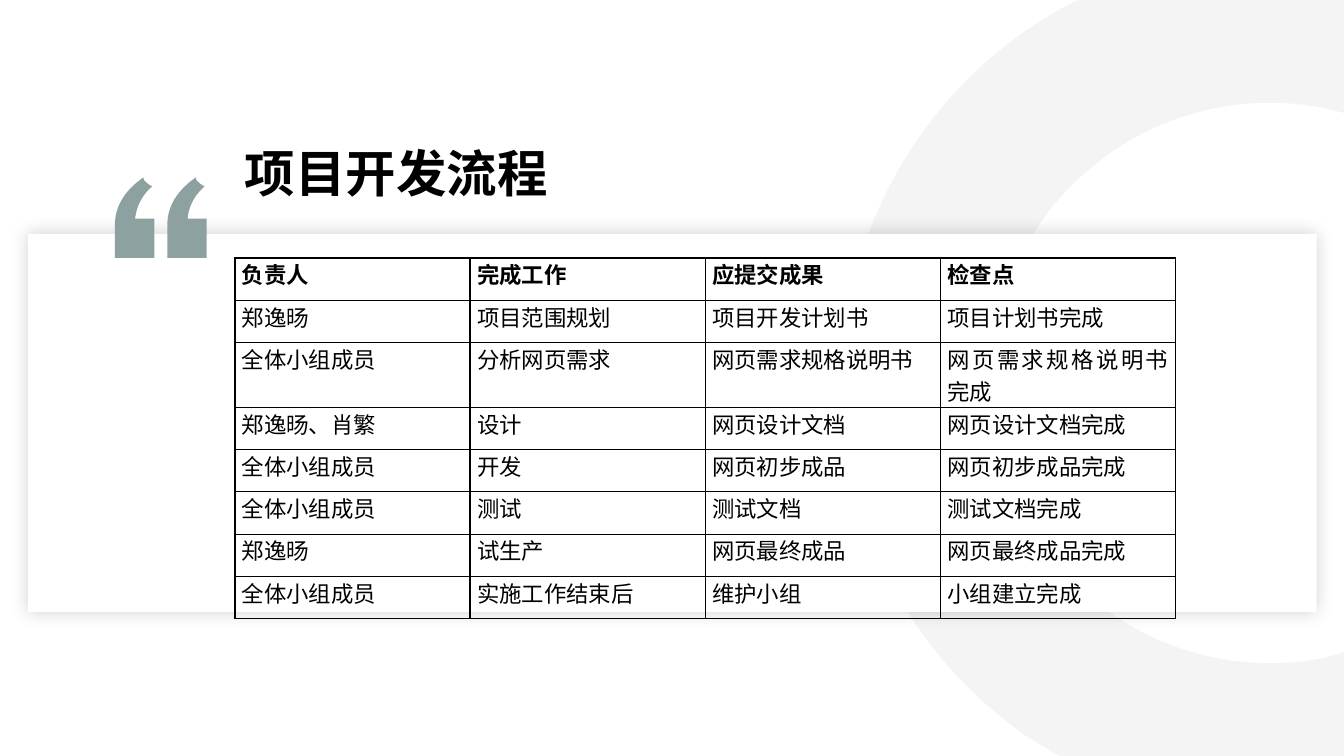
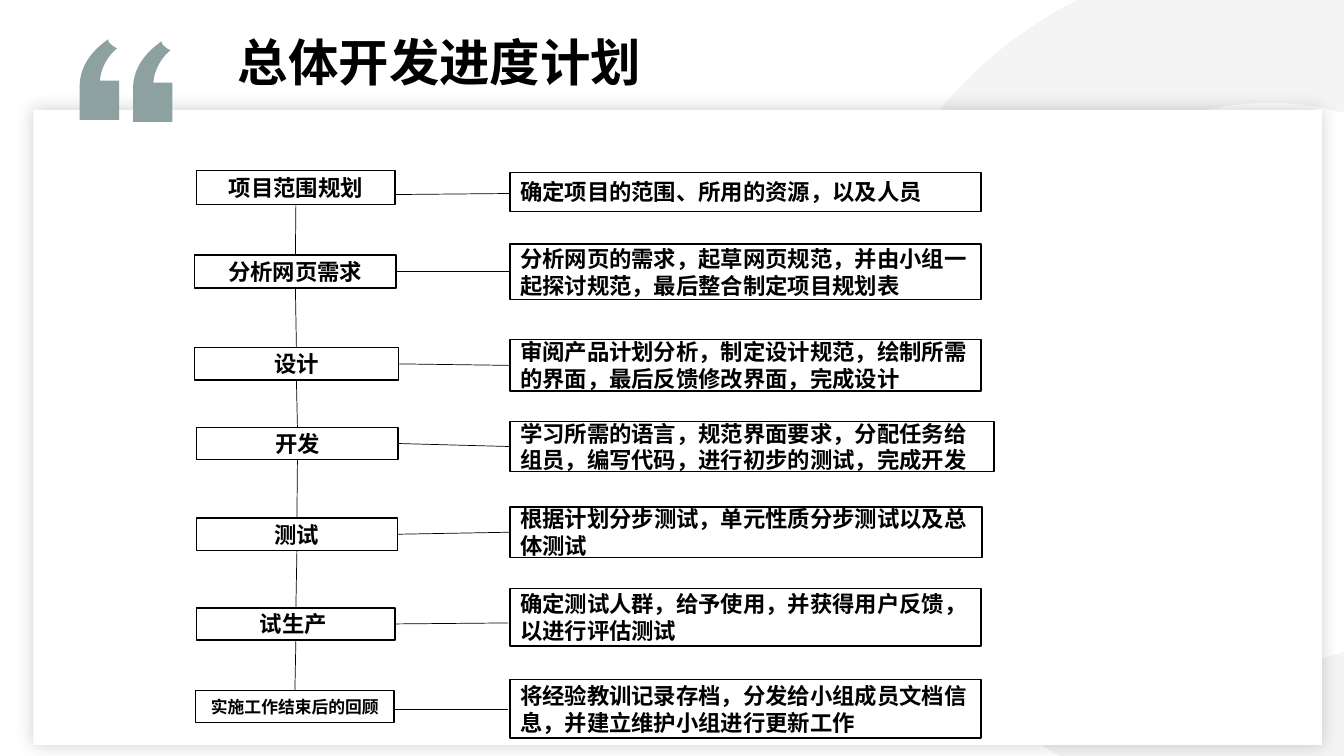
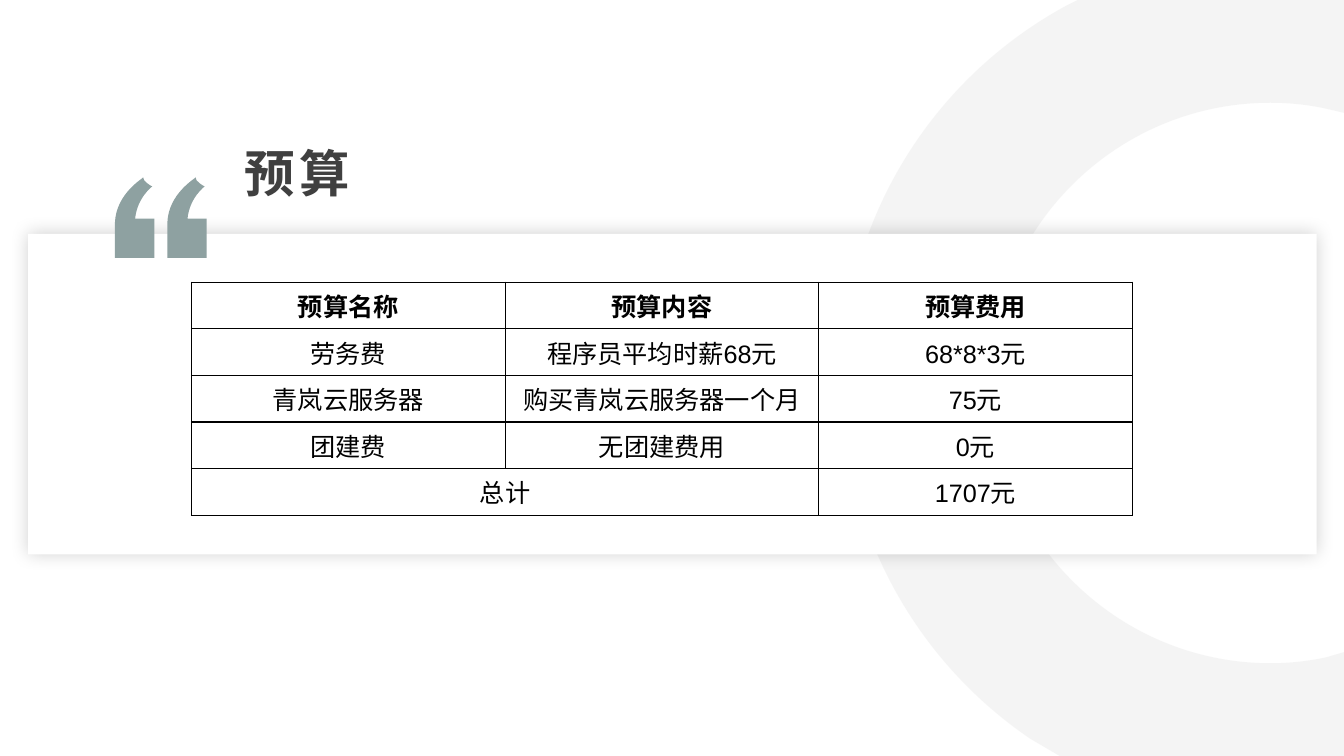
"""Build three project-plan slides: workflow table, schedule flowchart and budget table."""
from dataclasses import dataclass

from lxml.etree import SubElement
from pptx import Presentation
from pptx.dml.color import RGBColor
from pptx.enum.shapes import MSO_CONNECTOR as Link, MSO_SHAPE as Preset
from pptx.enum.text import MSO_ANCHOR as Anchor, MSO_AUTO_SIZE as Fit, PP_ALIGN as Align
from pptx.oxml.ns import qn
from pptx.util import Inches, Pt


@dataclass(frozen=True)
class Theme:
    """Colours, fonts and type sizes shared by the slides."""
    ink: str = "000000"
    soft_ink: str = "404040"
    paper: str = "FFFFFF"
    ring: str = "F2F2F2"
    accent: str = "8EA1A1"
    font: str = "Arial"
    flow_font: str = "Calibri"
    title_size: int = 36
    budget_size: int = 18
    body_size: int = 16
    small_size: int = 12
    border: float = 1
    link: float = 0.5


THEME = Theme()
SLIDE_W, SLIDE_H = 13.33, 7.5
CARD_W, GRID_W = 12.78, 9.33

WORKFLOW = [
    ("负责人", "完成工作", "应提交成果", "检查点"),
    ("郑逸旸", "项目范围规划", "项目开发计划书", "项目计划书完成"),
    ("全体小组成员", "分析网页需求", "网页需求规格说明书", "网页需求规格说明书完成"),
    ("郑逸旸、肖繁", "设计", "网页设计文档", "网页设计文档完成"),
    ("全体小组成员", "开发", "网页初步成品", "网页初步成品完成"),
    ("全体小组成员", "测试", "测试文档", "测试文档完成"),
    ("郑逸旸", "试生产", "网页最终成品", "网页最终成品完成"),
    ("全体小组成员", "实施工作结束后", "维护小组", "小组建立完成"),
]
WORKFLOW_HEIGHTS = [0.42] * 2 + [0.64] + [0.42] * 5

BUDGET = [
    ("预算名称", "预算内容", "预算费用"),
    ("劳务费", "程序员平均时薪68元", "68*8*3元"),
    ("青岚云服务器", "购买青岚云服务器一个月", "75元"),
    ("团建费", "无团建费用", "0元"),
    ("总计", "", "1707元"),
]
BUDGET_HEIGHTS = [0.46] * len(BUDGET)

# each stage: step and its left, top, width, height; detail and its top, width, height
STAGES = [
    ("项目范围规划", (1.95, 1.69, 1.97, 0.34),
     "确定项目的范围、所用的资源，以及人员", (1.71, 4.67, 0.39)),
    ("分析网页需求", (1.93, 2.53, 2, 0.33),
     "分析网页的需求，起草网页规范，并由小组一起探讨规范，最后整合制定项目规划表", (2.42, 4.67, 0.55)),
    ("设计", (1.93, 3.45, 2.02, 0.32),
     "审阅产品计划分析，制定设计规范，绘制所需的界面，最后反馈修改界面，完成设计", (3.37, 4.67, 0.51)),
    ("开发", (1.95, 4.24, 2, 0.32),
     "学习所需的语言，规范界面要求，分配任务给组员，编写代码，进行初步的测试，完成开发", (4.18, 4.8, 0.5)),
    ("测试", (1.95, 5.14, 1.99, 0.32),
     "根据计划分步测试，单元性质分步测试以及总体测试", (5.03, 4.68, 0.5)),
    ("试生产 ", (1.95, 6.03, 1.97, 0.32),
     "确定测试人群，给予使用，并获得用户反馈，以进行评估测试", (5.84, 4.67, 0.57)),
    ("实施工作结束后的回顾", (1.94, 6.85, 1.97, 0.32),
     "将经验教训记录存档，分发给小组成员文档信息，并建立维护小组进行更新工作", (6.74, 4.67, 0.58)),
]
DETAIL_LEFT = 5.06
LONG_LABEL = 8
# links that miss the middle of a side, by stage: start and end
LOOSE_LINKS = {
    0: ((3.93, 1.93), (5.05, 1.92)),
    5: ((3.92, 6.19), (5.04, 6.18)),
    6: ((3.92, 7.04), (5.04, 7.04)),
}

# a two-number entry is a corner, a six-number entry a cubic curve
QUOTE = [
    (0.39, 0.8), (0, 0.8), (0, 0.45), (0.01, 0.16, 0.28, 0.01, 0.28, 0),
    (0.29, 0.03), (0.31, 0.05, 0.33, 0.07, 0.35, 0.08), (0.37, 0.09),
    (0.37, 0.09, 0.22, 0.2, 0.2, 0.41), (0.39, 0.41),
]
RING = [
    (10.69, 0), (13.33, 0), (13.33, 1.12), (13.16, 1.08),
    (12.98, 1.04, 12.79, 1.02, 12.6, 1.02), (11.07, 1.02, 9.82, 2.26, 9.82, 3.8),
    (9.82, 5.33, 11.07, 6.58, 12.6, 6.58), (12.79, 6.58, 12.98, 6.56, 13.16, 6.52),
    (13.33, 6.47), (13.33, 7.5), (10.51, 7.5), (10.22, 7.33),
    (9.09, 6.56, 8.35, 5.27, 8.35, 3.8), (8.35, 2.18, 9.25, 0.78, 10.57, 0.06),
]


def rgb(color):
    """Turn a hex string into a colour."""
    return RGBColor.from_string(color)


def box(*lengths):
    """Convert inches to slide lengths."""
    return [Inches(length) for length in lengths]


def style(paragraph, size, bold, font=THEME.font, color=THEME.ink, align=None):
    """Format a paragraph's runs."""
    paragraph.alignment = align
    for run in paragraph.runs:
        run.font.name, run.font.size, run.font.bold = font, Pt(size), bold
        run.font.color.rgb = rgb(color)


def add_outline(slide, segments, color, left=0, top=0):
    """Draw a filled outline of straight and curved segments."""
    placed = [[Inches(value + (top if i % 2 else left)) for i, value in enumerate(segment)]
              for segment in segments]
    knots = [segment[-2:] for segment in placed]
    builder = slide.shapes.build_freeform(*knots[0], scale=1.0)
    builder.add_line_segments(knots[1:], close=True)
    outline = builder.convert_to_shape()
    min_x, min_y = (min(axis) for axis in zip(*knots))
    for line, segment in zip(list(outline._element.iter(qn("a:lnTo"))), placed[1:]):
        if len(segment) == 6:
            curve = line.makeelement(qn("a:cubicBezTo"), {})
            for x, y in zip(segment[::2], segment[1::2]):
                SubElement(curve, qn("a:pt"), x=str(x - min_x), y=str(y - min_y))
            line.getparent().replace(line, curve)
    outline.shadow.inherit = False
    outline.fill.solid()
    outline.fill.fore_color.rgb = rgb(color)
    outline.line.fill.background()
    return outline


def add_ring(slide):
    """Draw the pale ring cut off by the slide's edges."""
    ring = add_outline(slide, RING, THEME.ring)
    tint = ring.fill._xPr.find(qn("a:solidFill"))[0]
    SubElement(tint, qn("a:alpha"), val="80000")


def add_rect(slide, left, top, width, height):
    """Draw a white rectangle."""
    rect = slide.shapes.add_shape(Preset.RECTANGLE, *box(left, top, width, height))
    rect.shadow.inherit = False
    rect.fill.solid()
    rect.fill.fore_color.rgb = rgb(THEME.paper)
    return rect


def add_card(slide, left, top, height):
    """Draw the white card with its soft shadow."""
    card = add_rect(slide, left, top, CARD_W, height)
    card.line.fill.background()
    effects = card._element.spPr.find(qn("a:effectLst"))
    glow = SubElement(effects, qn("a:outerShdw"), blurRad=str(Pt(13)), dist="0", dir="0",
                      algn="ctr", rotWithShape="0")
    shade = SubElement(glow, qn("a:srgbClr"), val=THEME.ink)
    SubElement(shade, qn("a:alpha"), val="18000")


def add_page(deck, title, card, quotes, title_at, color=THEME.ink, spacing=0):
    """Add a slide with ring, card, quotation marks and title."""
    slide = deck.slides.add_slide(deck.slide_layouts[6])
    add_ring(slide)
    add_card(slide, *card)
    for left, top in quotes:
        add_outline(slide, QUOTE, THEME.accent, left, top)
    frame = slide.shapes.add_textbox(*box(*title_at, 3.97, 0.68)).text_frame
    frame.word_wrap = False
    frame.auto_size = Fit.NONE
    frame.margin_left, frame.margin_top, frame.margin_right, frame.margin_bottom = box(
        0.11, 0.04, 0.07, 0.04)
    frame.text = title
    heading = frame.paragraphs[0]
    style(heading, THEME.title_size, True, color=color)
    if spacing:
        heading.runs[0]._r.get_or_add_rPr().set("spc", str(spacing * 100))
    return slide


def add_borders(cell):
    """Rule all four sides of a cell."""
    props = cell._tc.get_or_add_tcPr()
    for index, side in enumerate(("lnL", "lnR", "lnT", "lnB")):
        rule = props.makeelement(qn("a:" + side), {"w": str(Pt(THEME.border))})
        ink = SubElement(rule, qn("a:solidFill"))
        SubElement(ink, qn("a:srgbClr"), val=THEME.ink)
        props.insert(index, rule)


def add_grid(slide, rows, heights, left, top, size, align, margins=(0.1, 0.05, 0.1, 0.05)):
    """Add a ruled table with a bold first row."""
    grid = slide.shapes.add_table(len(rows), len(rows[0]),
                                  *box(left, top, GRID_W, sum(heights))).table
    grid.first_row = grid.horz_banding = False
    for column in grid.columns:
        column.width = Inches(GRID_W / len(rows[0]))
    for r, (row, height) in enumerate(zip(rows, heights)):
        grid.rows[r].height = Inches(height)
        for c, words in enumerate(row):
            cell = grid.cell(r, c)
            cell.text = words
            cell.fill.background()
            cell.margin_left, cell.margin_top, cell.margin_right, cell.margin_bottom = box(
                *margins)
            add_borders(cell)
            style(cell.text_frame.paragraphs[0], size, r == 0, align=align)
    return grid


def add_flow_box(slide, words, place, size, align):
    """Add a bordered flowchart box."""
    node = add_rect(slide, *place)
    node.line.color.rgb = rgb(THEME.ink)
    node.line.width = Pt(THEME.border)
    frame = node.text_frame
    frame.word_wrap = True
    frame.vertical_anchor = Anchor.MIDDLE
    frame.text = words
    paragraph = frame.paragraphs[0]
    style(paragraph, size, True, THEME.flow_font, align=align)
    SubElement(paragraph.runs[0]._r.get_or_add_rPr(), qn("a:ea"), typeface=THEME.flow_font)
    return node


def add_link(slide, start=(0, 0), end=(0, 0)):
    """Draw a thin line."""
    link = slide.shapes.add_connector(Link.STRAIGHT, *box(*start, *end))
    link.line.color.rgb = rgb(THEME.ink)
    link.line.width = Pt(THEME.link)
    SubElement(link._element.spPr, qn("a:effectLst"))
    return link


def join(slide, start, start_side, end, end_side):
    """Join two boxes by a thin line."""
    link = add_link(slide)
    link.begin_connect(start, start_side)
    link.end_connect(end, end_side)


def add_flow(slide):
    """Draw the chain of steps with their details."""
    previous = None
    for index, (label, step_place, words, (top, width, height)) in enumerate(STAGES):
        label_size = THEME.small_size if len(label) > LONG_LABEL else THEME.body_size
        step = add_flow_box(slide, label, step_place, label_size, Align.CENTER)
        detail = add_flow_box(slide, words, (DETAIL_LEFT, top, width, height),
                              THEME.body_size, Align.LEFT)
        if index in LOOSE_LINKS:
            add_link(slide, *LOOSE_LINKS[index])
        else:
            join(slide, step, 3, detail, 1)
        if previous:
            join(slide, previous, 2, step, 0)
        previous = step


def main():
    """Build and save the deck."""
    deck = Presentation()
    deck.slide_width, deck.slide_height = box(SLIDE_W, SLIDE_H)
    quotes, title_at = [(1.66, 1.76), (1.14, 1.76)], (2.32, 1.37)

    workflow = add_page(deck, "项目开发流程", (0.28, 2.32, 3.75), quotes, title_at)
    add_grid(workflow, WORKFLOW, WORKFLOW_HEIGHTS, 2.33, 2.56, THEME.body_size, Align.JUSTIFY,
             (0.07, 0, 0.07, 0))

    schedule = add_page(deck, "总体开发进度计划", (0.33, 1.09, 6.3),
                        [(1.32, 0.41), (0.79, 0.39)], (2.25, 0.27))
    add_flow(schedule)

    budget = add_page(deck, "预算", (0.28, 2.32, 3.18), quotes, title_at, THEME.soft_ink, 3)
    grid = add_grid(budget, BUDGET, BUDGET_HEIGHTS, 1.9, 2.8, THEME.budget_size, Align.CENTER)
    grid.cell(4, 0).merge(grid.cell(4, 1))

    deck.save("out.pptx")


if __name__ == "__main__":
    main()
